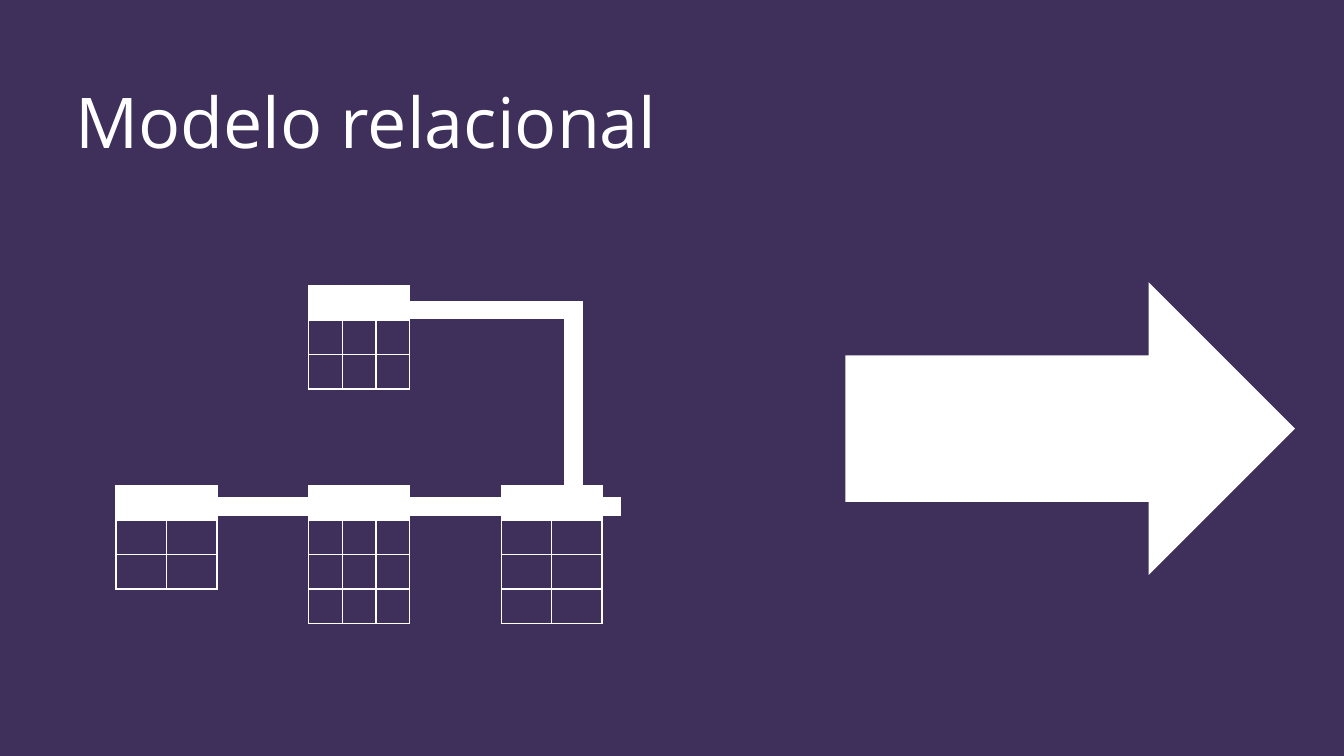
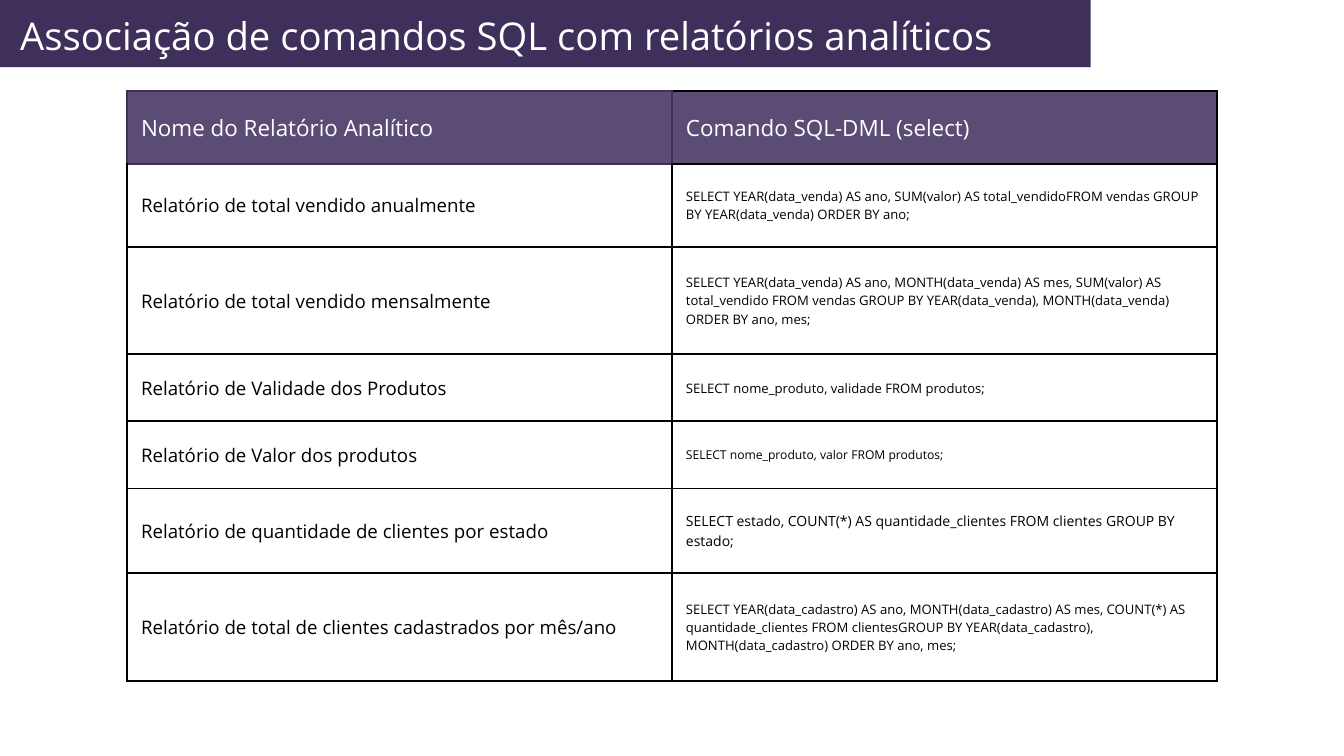
from lxml.etree import SubElement
from pptx import Presentation
from pptx.dml.color import RGBColor
from pptx.enum.shapes import MSO_SHAPE
from pptx.enum.text import MSO_ANCHOR, MSO_AUTO_SIZE
from pptx.oxml.ns import qn
from pptx.util import Pt

PURPLE = RGBColor(0x3E, 0x2F, 0x5B)
LILAC = RGBColor(0x5A, 0x4C, 0x74)
WHITE = RGBColor(0xFF, 0xFF, 0xFF)
BLACK = RGBColor(0x00, 0x00, 0x00)
FONT = "Open Sans"

BAR = 19.5
HEADERS = ("Nome do Relatório Analítico", "Comando SQL-DML (select)")
REPORTS = [
    (88.6, "Relatório de total vendido anualmente", 14,
     "SELECT YEAR(data_venda) AS ano, SUM(valor) AS total_vendidoFROM vendas "
     "GROUP BY YEAR(data_venda) ORDER BY ano;"),
    (115.2, "Relatório de total vendido mensalmente", 14,
     "SELECT YEAR(data_venda) AS ano, MONTH(data_venda) AS mes, SUM(valor) AS "
     "total_vendido FROM vendas GROUP BY YEAR(data_venda), MONTH(data_venda) "
     "ORDER BY ano, mes;"),
    (72, "Relatório de Validade dos Produtos", 14,
     "SELECT nome_produto, validade FROM produtos;"),
    (72, "Relatório de Valor dos produtos", 13,
     "SELECT nome_produto, valor FROM produtos;"),
    (90.7, "Relatório de quantidade de clientes por estado", 15,
     "SELECT estado, COUNT(*) AS quantidade_clientes FROM clientes GROUP BY estado;"),
    (115.2, "Relatório de total de clientes cadastrados por mês/ano", 14,
     "SELECT YEAR(data_cadastro) AS ano, MONTH(data_cadastro) AS mes, COUNT(*) AS "
     "quantidade_clientes FROM clientesGROUP BY YEAR(data_cadastro), "
     "MONTH(data_cadastro) ORDER BY ano, mes;"),
]


def new_slide(prs, color):
    """Add a blank slide with a plain background."""
    s = prs.slides.add_slide(prs.slide_layouts[6])
    s.background.fill.solid()
    s.background.fill.fore_color.rgb = color
    return s


def write(tf, text, size, color, spacing):
    """Put one formatted paragraph in a text frame."""
    p = tf.paragraphs[0]
    p.text = text
    p.line_spacing = Pt(spacing)
    f = p.runs[0].font
    f.name, f.size, f.color.rgb = FONT, Pt(size), color


def add_title(s, text, x, y, w, h, size, spacing):
    """Add a white title without insets."""
    tf = s.shapes.add_textbox(Pt(x), Pt(y), Pt(w), Pt(h)).text_frame
    tf.word_wrap = True
    tf.auto_size = MSO_AUTO_SIZE.SHAPE_TO_FIT_TEXT
    tf.margin_left = tf.margin_top = tf.margin_right = tf.margin_bottom = 0
    write(tf, text, size, WHITE, spacing)


def paint(sp, color):
    """Give a shape a plain fill without line or shadow."""
    sp.shadow.inherit = False
    sp.fill.solid()
    sp.fill.fore_color.rgb = color
    sp.line.fill.background()


def add_outline(s, points):
    """Add a closed white outline through the points."""
    pts = [(Pt(x), Pt(y)) for x, y in points]
    fb = s.shapes.build_freeform(*pts[0])
    fb.add_line_segments(pts[1:], close=True)
    paint(fb.convert_to_shape(), WHITE)


def add_bar(s, x, y, w, h):
    """Add a white bar."""
    add_outline(s, [(x, y), (x + w, y), (x + w, y + h), (x, y + h)])


def add_arrow(s, x, y, w, h):
    """Add a block arrow pointing right that fills the box."""
    neck, right, mid = x + w - h / 2, x + w, y + h / 2
    add_outline(s, [(right, mid), (neck, y), (neck, y + h / 4), (x, y + h / 4),
                    (x, y + h * 3 / 4), (neck, y + h * 3 / 4), (neck, y + h)])


def style_cell(cell, fill, width, **edges):
    """Set the borders and fill of a cell."""
    tc_pr = cell._tc.get_or_add_tcPr()
    for side in "LRTB":
        ln = SubElement(tc_pr, qn("a:ln" + side), w=str(Pt(width)))
        solid = SubElement(ln, qn("a:solidFill"))
        color = edges.get(side, edges["default"])
        SubElement(solid, qn("a:srgbClr"), val=str(color))
    if fill is None:
        cell.fill.background()
    else:
        cell.fill.solid()
        cell.fill.fore_color.rgb = fill


def new_table(s, x, y, w, heights, cols):
    """Add a table with equal columns and the given row heights."""
    tbl = s.shapes.add_table(len(heights), cols, Pt(x), Pt(y), Pt(w),
                             Pt(sum(heights))).table
    for col in tbl.columns:
        col.width = Pt(w / cols)
    for row, height in zip(tbl.rows, heights):
        row.height = Pt(height)
    return tbl


def add_entity(s, x, y, w, rows, cols):
    """Add an empty grid with a filled header row."""
    tbl = new_table(s, x, y, w, [36.9] * rows, cols)
    for i, row in enumerate(tbl.rows):
        for cell in row.cells:
            style_cell(cell, WHITE if i == 0 else None, 1.8, default=WHITE)


def add_diagram(s, x, y, w, h):
    """Draw four linked entities in a three by two layout."""
    size, step, drop = 108, (w - 108) / 2, h - 147.6
    for col, row, rows, cols in [(1, 1, 4, 3), (2, 1, 4, 2), (1, 0, 3, 3), (0, 1, 3, 2)]:
        add_entity(s, x + col * step, y + row * drop, size, rows, cols)
    link, top = x + 276.5, y + 16.5
    add_bar(s, x + w - 40.3, top, BAR, 210.2)
    add_bar(s, link, top, w - 40.3 + BAR - 276.5, BAR)
    add_bar(s, x + 60.2, y + drop + 12.3, 481, BAR)


def add_reports(s, x, y, w):
    """Add the table of reports and their commands."""
    tbl = new_table(s, x, y, w, [78.5] + [r[0] for r in REPORTS], 2)
    rows = [[(t, 24) for t in HEADERS]]
    rows += [[(name, 20), (sql, size)] for _, name, size, sql in REPORTS]
    for i, row in enumerate(rows):
        for j, (text, size) in enumerate(row):
            cell = tbl.cell(i, j)
            edges = {"default": BLACK}
            if i == 0:
                edges = {"default": BLACK, "L": PURPLE} if j else {"default": PURPLE}
            elif (i, j) == (1, 0):
                edges["T"] = PURPLE
            style_cell(cell, LILAC if i == 0 else None, 2.25, **edges)
            cell.vertical_anchor = MSO_ANCHOR.MIDDLE
            cell.margin_left = cell.margin_right = Pt(15)
            cell.margin_top = cell.margin_bottom = Pt(15)
            write(cell.text_frame, text, size, BLACK if i else WHITE, size * 1.4)


def add_band(s, x, y, w, h):
    """Add the purple band behind a title."""
    paint(s.shapes.add_shape(MSO_SHAPE.RECTANGLE, Pt(x), Pt(y), Pt(w), Pt(h)), PURPLE)


def model_slide(prs):
    """Build the relational model slide."""
    s = new_slide(prs, PURPLE)
    add_diagram(s, 124.5, 306, 520.6, 362.2)
    add_title(s, "Modelo relacional", 80.6, 84.2, 639.4, 90.7, 75, 90)
    add_arrow(s, 905.8, 302.4, 481.7, 313.6)


def report_slide(prs):
    """Build the slide that pairs reports with commands."""
    s = new_slide(prs, WHITE)
    add_reports(s, 136.1, 97.2, 1167.8)
    add_band(s, -18.7, 0, 1187.3, 72)
    add_title(s, "Associação de comandos SQL com relatórios analíticos",
              21.6, 8.6, 1427.8, 51.8, 41, 53.3)


def main():
    """Build and save the presentation."""
    prs = Presentation()
    prs.slide_width, prs.slide_height = Pt(1440), Pt(810)
    model_slide(prs)
    report_slide(prs)
    prs.save("out.pptx")


if __name__ == "__main__":
    main()
